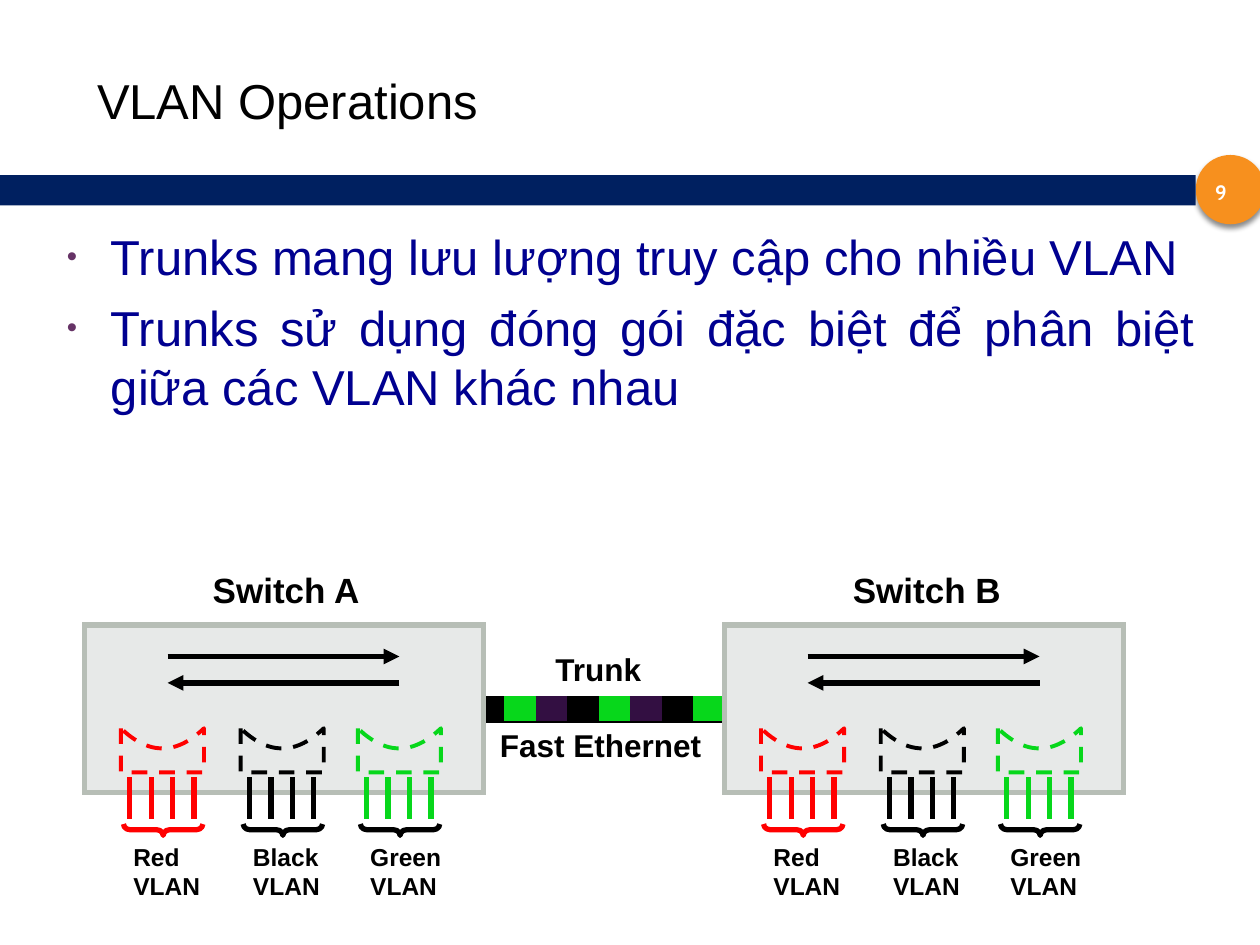
from dataclasses import dataclass

from lxml import etree
from pptx import Presentation
from pptx import util as u
from pptx.dml.color import RGBColor
from pptx.enum import dml, shapes, text
from pptx.oxml import ns

Inches, Pt = u.Inches, u.Pt


@dataclass
class Theme:
    face: str = "Arial"
    badge: str = "Cabin"
    black: str = "000000"
    white: str = "FFFFFF"
    navy: str = "002060"
    orange: str = "F7901E"
    body: str = "000090"
    bullet: str = "663366"
    red: str = "FF0000"
    green: str = "07D71B"
    purple: str = "330F42"
    panel: str = "E7E9E8"
    edge: str = "B7BEB6"
    head: float = 28
    name: float = 20
    link: float = 18
    port: float = 14
    num: float = 11.9


T = Theme()
rgb = RGBColor.from_string
deck = Presentation()
deck.slide_width, deck.slide_height = Inches(10), Inches(7.5)
slide = deck.slides.add_slide(deck.slide_layouts[1])
items = slide.shapes


def label(left, top, wide, high, lines, size, face=T.face, color=T.black):
    box = items.add_textbox(Inches(left), Inches(top), Inches(wide), Inches(high))
    frame = box.text_frame
    frame.word_wrap = False
    frame.vertical_anchor = text.MSO_ANCHOR.MIDDLE
    for i, words in enumerate(lines):
        para = frame.add_paragraph() if i else frame.paragraphs[0]
        run = para.add_run()
        run.text = words
        run.font.size, run.font.name, run.font.bold = Pt(size), face, True
        run.font.color.rgb = rgb(color)
    return frame


def line(x1, y1, x2, y2, color, width=3, arrow=False):
    wire = items.add_connector(shapes.MSO_CONNECTOR.STRAIGHT, Inches(x1),
                               Inches(y1), Inches(x2), Inches(y2))
    wire.line.color.rgb, wire.line.width = rgb(color), Pt(width)
    props = wire._element.spPr
    if arrow:
        etree.SubElement(props.find(ns.qn("a:ln")), ns.qn("a:tailEnd"), type="triangle")
    etree.SubElement(props, ns.qn("a:effectLst"))
    return wire


# Title and list
title, body = slide.placeholders[0], slide.placeholders[1]
title.left, title.top, title.width, title.height = map(Inches, (0.67, 0.25, 8.92, 1.08))
body.left, body.top, body.width, body.height = map(Inches, (0.43, 1.75, 9.15, 2.71))
points = ["Trunks mang lưu lượng truy cập cho nhiều VLAN",
          "Trunks sử dụng đóng gói đặc biệt để phân biệt giữa các VLAN khác nhau"]
for holder, lines, color in ((title, ["VLAN Operations"], T.black),
                             (body, points, T.body)):
    frame = holder.text_frame
    frame.auto_size = text.MSO_AUTO_SIZE.NONE
    for i, words in enumerate(lines):
        para = frame.add_paragraph() if i else frame.paragraphs[0]
        para.alignment = text.PP_ALIGN.LEFT
        if holder is body:
            para.alignment = text.PP_ALIGN.JUSTIFY
            para.space_before = Pt(7 if i else 0)
            props = para._p.get_or_add_pPr()
            props.set("marL", str(Inches(0.35)))
            props.set("indent", str(Inches(-0.35)))
            tint = etree.SubElement(props, ns.qn("a:buClr"))
            etree.SubElement(tint, ns.qn("a:srgbClr"), val=T.bullet)
            etree.SubElement(props, ns.qn("a:buSzPct"), val="60000")
            etree.SubElement(props, ns.qn("a:buFont"), typeface=T.face)
            etree.SubElement(props, ns.qn("a:buChar"), char="•")
        run = para.add_run()
        run.text = words
        run.font.size, run.font.name = Pt(T.head), T.face
        run.font.color.rgb = rgb(color)
title.text_frame.vertical_anchor = text.MSO_ANCHOR.MIDDLE

# Page number on its band
disc = items.add_shape(shapes.MSO_SHAPE.OVAL, Inches(9.49), Inches(1.23),
                       Inches(0.55), Inches(0.55))
band = items.add_shape(shapes.MSO_SHAPE.RECTANGLE, 0, Inches(1.39),
                       Inches(9.49), Inches(0.24))
for shape, color in ((disc, T.orange), (band, T.navy)):
    shape.fill.solid()
    shape.fill.fore_color.rgb = rgb(color)
    shape.line.fill.background()
    shape.shadow.inherit = False
page = label(9.4, 1.39, 0.58, 0.27, ["9"], T.num, T.badge, T.white)
page.paragraphs[0].alignment = text.PP_ALIGN.CENTER

# Trunk: the colours of the three VLANs in turn, level with the switches' middle
cycle = [T.black, T.green, T.purple]
mid = 4.96 + 1.33 / 2
trunk = [line(3.75 + i / 4, mid, 4 + i / 4, mid, cycle[i % 3], 14) for i in range(8)]

# Switches, each with three groups of ports
ports = [("Red", T.red, T.red, 0.29), ("Black", T.black, T.black, 1.24),
         ("Green", T.green, T.black, 2.17)]
boxes = []
for name, left in (("Switch A", 0.67), ("Switch B", 5.75)):
    label(left + 0.92, 4.46, 1.6, 0.43, [name], T.name)
    box = items.add_shape(shapes.MSO_SHAPE.RECTANGLE, Inches(left), Inches(4.96),
                          Inches(3.17), Inches(1.33))
    box.fill.solid()
    box.fill.fore_color.rgb = rgb(T.panel)
    box.line.color.rgb, box.line.width = rgb(T.edge), Pt(3)
    etree.SubElement(box._element.spPr.find(ns.qn("a:ln")), ns.qn("a:miter"), lim="800000")
    box.shadow.inherit = False
    boxes.append(box)
    line(left + 0.66, 5.21, left + 2.5, 5.21, T.black, arrow=True)
    line(left + 2.5, 5.42, left + 0.66, 5.42, T.black, arrow=True)

    for vlan, color, rim, shift in ports:
        x = left + shift
        # Socket with a sagging top edge
        steps = [1 - i / 12 for i in range(25)]
        sag = [(x + 0.33 + 0.33 * s, 5.78 + 0.16 * (1 - s * s)) for s in steps]
        pen = items.build_freeform(Inches(x), Inches(5.78), scale=1.0)
        pen.add_line_segments([(Inches(a), Inches(b)) for a, b in
                               [(x, 6.13), (x + 0.66, 6.13)] + sag], close=True)
        socket = pen.convert_to_shape()
        socket.fill.background()
        socket.line.color.rgb, socket.line.width = rgb(color), Pt(2.25)
        socket.line.dash_style = dml.MSO_LINE.DASH
        socket.shadow.inherit = False

        for i in range(4):
            pin = x + 0.07 + 0.17 * i
            line(pin, 6.17, pin, 6.5, color)

        brace = items.add_shape(shapes.MSO_SHAPE.RIGHT_BRACE, Inches(x + 0.29),
                                Inches(6.27), Inches(0.09), Inches(0.63))
        brace.rotation = 90
        brace.adjustments[0] = 0.58
        brace.fill.background()
        brace.line.color.rgb, brace.line.width = rgb(rim), Pt(3)
        brace.shadow.inherit = False
        label(x, 6.63, 0.9, 0.57, [vlan, "VLAN"], T.port)

trunk[0].begin_connect(boxes[0], 3)
trunk[-1].end_connect(boxes[1], 1)
label(4.31, 5.11, 1, 0.4, ["Trunk"], T.link)
label(3.87, 5.71, 1.9, 0.4, ["Fast Ethernet"], T.link)

# Shadows: blur, distance, angle, opacity
for shape, blur, dist, angle, alpha in (
        [(disc, 3, 2.4, 90, 45)] + [(part, 0, 1.4, 45, 100) for part in trunk]):
    effects = shape._element.spPr.find(ns.qn("a:effectLst"))
    cast = etree.SubElement(effects, ns.qn("a:outerShdw"), blurRad=str(Pt(blur)),
                            dist=str(Pt(dist)), dir=str(angle * 60000))
    shade = etree.SubElement(cast, ns.qn("a:srgbClr"), val=T.black)
    etree.SubElement(shade, ns.qn("a:alpha"), val=str(alpha * 1000))

deck.save("out.pptx")
